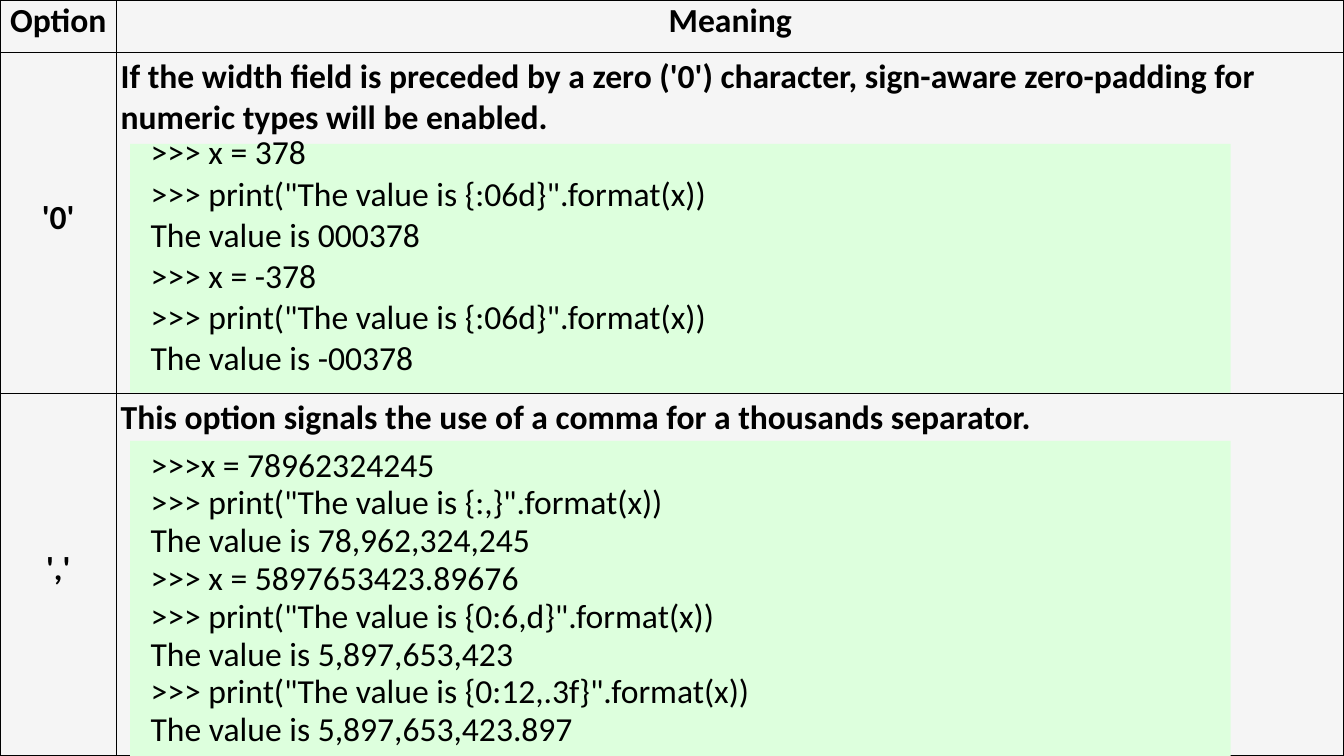
from dataclasses import dataclass
from typing import Optional, Union

from lxml import etree
from pptx import Presentation
from pptx import util as u
from pptx.dml import color
from pptx.enum import shapes, text
from pptx.oxml import ns

PX = 9525  # EMU in one px, 96 px to the inch


def px(length: int) -> u.Emu:
    return u.Emu(length * PX)


@dataclass(frozen=True)
class Theme:
    font: str = "Calibri"
    size: int = 24
    ink: str = "000000"
    cell: str = "F5F5F5"
    code: str = "DDFFDD"
    border_points: int = 1


@dataclass(frozen=True)
class OptionRow:
    option: str
    meaning: str
    height: int


@dataclass(frozen=True)
class CodeBox:
    top: int
    height: int
    line_spacing: Union[float, u.Pt]
    gap: Optional[u.Pt]
    lines: tuple[str, ...]


THEME = Theme()
WIDTH, HEIGHT = 1280, 720
COLUMNS = (111, 1169)
CELL_MARGIN = 4
CODE_LEFT, CODE_WIDTH, CODE_INDENT = 124, 1048, 10
TAB_STEP, TAB_COUNT = 61, 8

ROWS = (
    OptionRow("Option", "Meaning", 50),
    OptionRow("'0'", "If the width field is preceded by a zero ('0') character, "
              "sign-aware zero-padding for numeric types will be enabled.", 325),
    OptionRow("','", "This option signals the use of a comma for a thousands separator.", 345),
)

CODE_BOXES = (
    CodeBox(137, 237, 0.5, u.Pt(7.5), (
        '>>> x = 378',
        '>>> print("The value is {:06d}".format(x))',
        'The value is 000378',
        '>>> x = -378',
        '>>> print("The value is {:06d}".format(x))',
        'The value is -00378',
    )),
    CodeBox(420, 300, u.Pt(27), None, (
        '>>>x = 78962324245',
        '>>> print("The value is {:,}".format(x))',
        'The value is 78,962,324,245',
        '>>> x = 5897653423.89676',
        '>>> print("The value is {0:6,d}".format(x))',
        'The value is 5,897,653,423',
        '>>> print("The value is {0:12,.3f}".format(x))',
        'The value is 5,897,653,423.897',
    )),
)


def paint(fill, colour: str) -> None:
    fill.solid()
    fill.fore_color.rgb = color.RGBColor.from_string(colour)


def format_runs(paragraph, bold: bool) -> None:
    for run in paragraph.runs:
        run.font.name = THEME.font
        run.font.size = u.Pt(THEME.size)
        run.font.bold = bold
        run.font.color.rgb = color.RGBColor.from_string(THEME.ink)


def add_borders(cell) -> None:
    properties = cell._tc.get_or_add_tcPr()
    # Border lines must come before the fill
    for position, side in enumerate(("lnL", "lnR", "lnT", "lnB")):
        line = etree.Element(ns.qn(f"a:{side}"), w=str(u.Pt(THEME.border_points)))
        solid = etree.SubElement(line, ns.qn("a:solidFill"))
        etree.SubElement(solid, ns.qn("a:srgbClr"), val=THEME.ink)
        properties.insert(position, line)


def fill_cell(cell, words: str, centred: bool) -> None:
    cell.margin_left = cell.margin_right = px(CELL_MARGIN)
    cell.margin_top = cell.margin_bottom = px(CELL_MARGIN)
    paint(cell.fill, THEME.cell)
    add_borders(cell)
    cell.text_frame.text = words
    paragraph = cell.text_frame.paragraphs[0]
    if centred:
        cell.vertical_anchor = text.MSO_ANCHOR.MIDDLE
        paragraph.alignment = text.PP_ALIGN.CENTER
        paragraph.line_spacing = 0.5
    format_runs(paragraph, bold=True)


def add_option_table(slide) -> None:
    table = slide.shapes.add_table(
        len(ROWS), len(COLUMNS), 0, 0, px(WIDTH), px(HEIGHT)).table
    table.first_row = table.horz_banding = False
    for column, width in zip(table.columns, COLUMNS):
        column.width = px(width)
    for index, row in enumerate(ROWS):
        table.rows[index].height = px(row.height)
        fill_cell(table.cell(index, 0), row.option, centred=True)
        fill_cell(table.cell(index, 1), row.meaning, centred=index == 0)


def indent_with_tabs(paragraph) -> None:
    properties = paragraph._p.get_or_add_pPr()
    properties.set("marL", str(px(CODE_INDENT)))
    properties.set("indent", "0")
    tabs = etree.SubElement(properties, ns.qn("a:tabLst"))
    for stop in range(1, TAB_COUNT + 1):
        etree.SubElement(tabs, ns.qn("a:tab"), pos=str(px(stop * TAB_STEP)), algn="l")


def add_code_box(slide, box: CodeBox) -> None:
    shape = slide.shapes.add_shape(
        shapes.MSO_SHAPE.RECTANGLE,
        px(CODE_LEFT), px(box.top), px(CODE_WIDTH), px(box.height))
    shape.shadow.inherit = False
    paint(shape.fill, THEME.code)
    shape.line.fill.background()
    frame = shape.text_frame
    frame.word_wrap = True
    frame.auto_size = text.MSO_AUTO_SIZE.SHAPE_TO_FIT_TEXT
    frame.vertical_anchor = text.MSO_ANCHOR.TOP
    frame.text = "\n".join(box.lines)
    for paragraph in frame.paragraphs:
        paragraph.alignment = text.PP_ALIGN.LEFT
        paragraph.line_spacing = box.line_spacing
        paragraph.space_before = paragraph.space_after = box.gap
        indent_with_tabs(paragraph)
        format_runs(paragraph, bold=False)


def main() -> None:
    presentation = Presentation()
    presentation.slide_width, presentation.slide_height = px(WIDTH), px(HEIGHT)
    # Blank layout: the slide has no title
    slide = presentation.slides.add_slide(presentation.slide_layouts[6])
    add_option_table(slide)
    for box in CODE_BOXES:
        add_code_box(slide, box)
    presentation.save("out.pptx")


if __name__ == "__main__":
    main()
